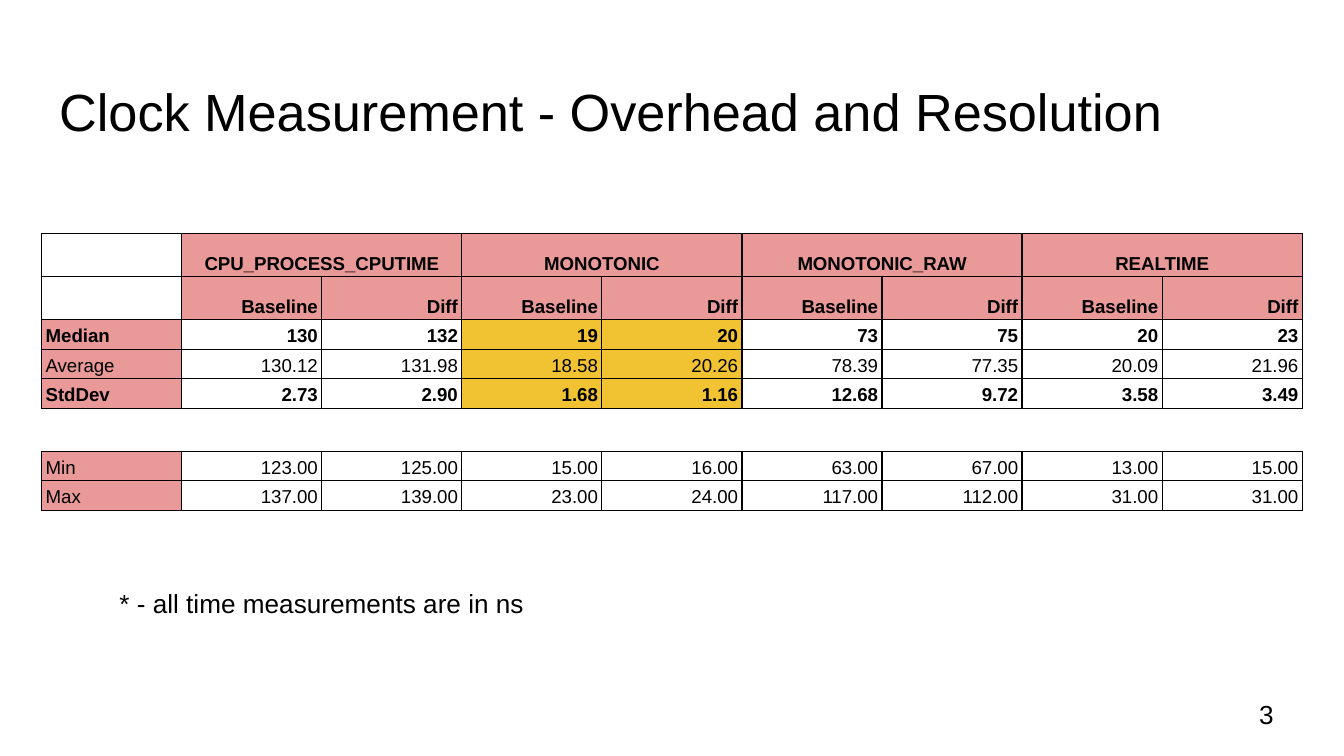
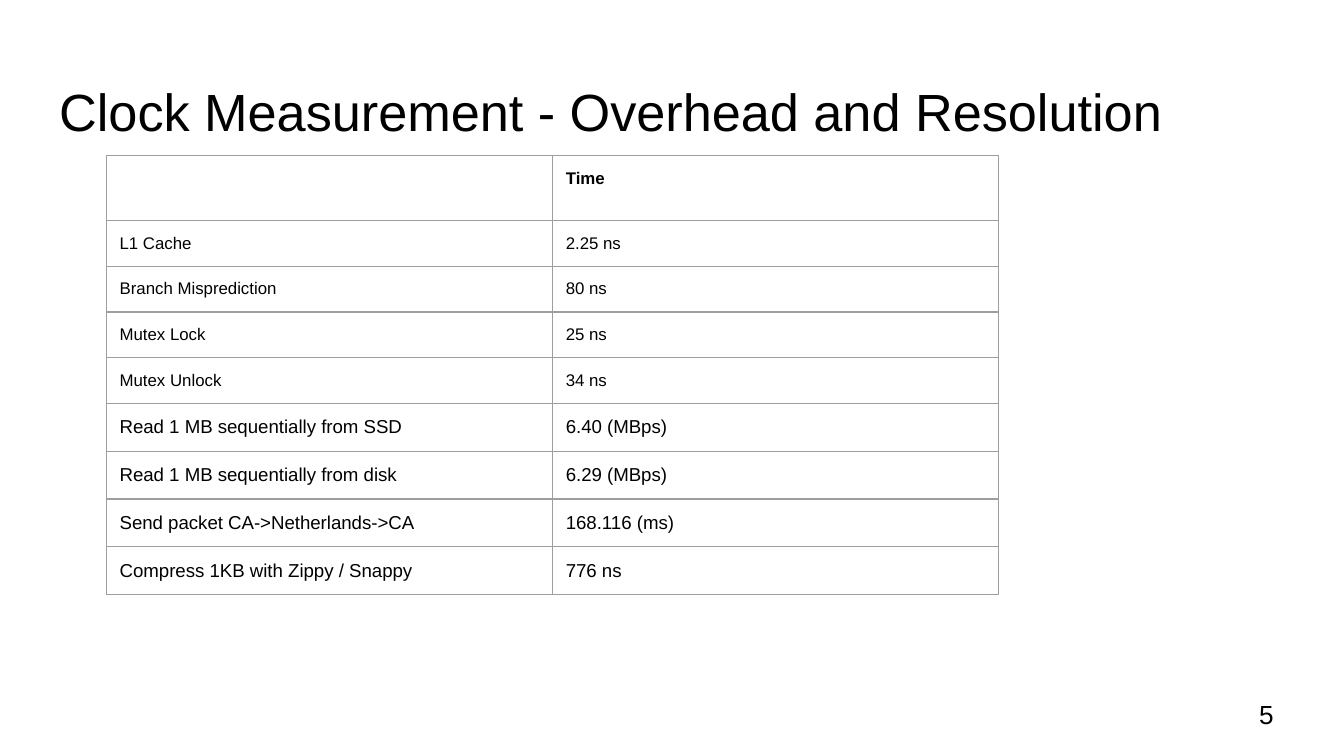
from lxml import etree
from pptx import Presentation
from pptx import util as u
from pptx.dml import color
from pptx.enum import text
from pptx.oxml import ns

INK, ROSE, GOLD, GREY, WHITE = "000000", "EA9999", "F1C232", "9E9E9E", "FFFFFF"
FONT = "Arial"
LEFT, MID, RIGHT = text.PP_ALIGN.LEFT, text.PP_ALIGN.CENTER, text.PP_ALIGN.RIGHT
TOP, CORE, LOW = (text.MSO_ANCHOR.TOP, text.MSO_ANCHOR.MIDDLE,
                  text.MSO_ANCHOR.BOTTOM)
TITLE = "Clock Measurement - Overhead and Resolution"

CLOCKS = ["CPU_PROCESS_CPUTIME", "MONOTONIC", "MONOTONIC_RAW", "REALTIME"]
STATS = [
    ["Median", "130", "132", "19", "20", "73", "75", "20", "23"],
    ["Average", "130.12", "131.98", "18.58", "20.26", "78.39", "77.35",
     "20.09", "21.96"],
    ["StdDev", "2.73", "2.90", "1.68", "1.16", "12.68", "9.72", "3.58", "3.49"],
    [""] * 9,
    ["Min", "123.00", "125.00", "15.00", "16.00", "63.00", "67.00",
     "13.00", "15.00"],
    ["Max", "137.00", "139.00", "23.00", "24.00", "117.00", "112.00",
     "31.00", "31.00"],
]
TIMES = [
    ["", "Time"],
    ["L1 Cache", "2.25 ns"],
    ["Branch Misprediction", "80 ns"],
    ["Mutex Lock", "25 ns"],
    ["Mutex Unlock", "34 ns"],
    ["Read 1 MB sequentially from SSD", "6.40 (MBps)"],
    ["Read 1 MB sequentially from disk", "6.29 (MBps)"],
    ["Send packet CA->Netherlands->CA", "168.116 (ms)"],
    ["Compress 1KB with Zippy / Snappy", "776 ns"],
]


def rgb(code):
    return color.RGBColor.from_string(code)


def write(frame, words, size=14, bold=False, align=LEFT, space=None):
    para = frame.paragraphs[0]
    if not words:
        end = etree.SubElement(para._p, ns.qn("a:endParaRPr"), sz="1800")
        etree.SubElement(end, ns.qn("a:latin"), typeface=FONT)
        return
    para.alignment = align
    para.line_spacing = space
    run = para.add_run()
    run.text = words
    font = run.font
    font.name, font.size, font.bold = FONT, u.Pt(size), bold
    font.color.rgb = rgb(INK)


def inset(item, wide=0.1, high=0.1):
    item.margin_left = item.margin_right = u.Inches(wide)
    item.margin_top = item.margin_bottom = u.Inches(high)


def edge(cell, tint, sides="LRTB"):
    props = cell._tc.get_or_add_tcPr()
    for side in "LRTB":
        line = etree.SubElement(props, ns.qn("a:ln" + side), w=str(u.Pt(0.75)))
        if side in sides:
            fill = etree.SubElement(line, ns.qn("a:solidFill"))
            etree.SubElement(fill, ns.qn("a:srgbClr"), val=tint)
        else:
            etree.SubElement(line, ns.qn("a:noFill"))


class Deck:
    def __init__(self):
        self.show = Presentation()
        self.show.slide_width = u.Inches(10)
        self.show.slide_height = u.Inches(10) * 9 // 16

    def page(self, title, number):
        self.slide = self.show.slides.add_slide(self.show.slide_layouts[5])
        back = self.slide.background.fill
        back.solid()
        back.fore_color.rgb = rgb(WHITE)
        head = self.slide.shapes.title
        head.left, head.top = u.Inches(0.34), u.Inches(0.49)
        head.width, head.height = u.Inches(9.32), u.Inches(0.63)
        self.frame(head, title, size=28)
        self.label(number, 9.27, 5.1, 0.6, 0.43, anchor=CORE)

    def frame(self, shape, words, anchor=TOP, **style):
        frame = shape.text_frame
        frame.word_wrap = True
        frame.auto_size = text.MSO_AUTO_SIZE.NONE
        frame.vertical_anchor = anchor
        inset(frame)
        write(frame, words, **style)

    def label(self, words, left, top, width, height, **style):
        box = self.slide.shapes.add_textbox(
            u.Inches(left), u.Inches(top), u.Inches(width), u.Inches(height))
        self.frame(box, words, **style)

    def grid(self, left, top, width, highs, count):
        shape = self.slide.shapes.add_table(
            len(highs), count, u.Inches(left), u.Inches(top),
            u.Inches(width), u.Inches(sum(highs)))
        table = shape.table
        table.first_row = table.horz_banding = False
        for col in table.columns:
            col.width = u.Inches(width / count)
        for row, high in zip(table.rows, highs):
            row.height = u.Inches(high)
        return table

    def cell(self, cell, words, tint, fill=None, sides="LRTB", pad=(0.1, 0.1),
             anchor=TOP, **style):
        edge(cell, tint, sides)
        if fill:
            cell.fill.solid()
            cell.fill.fore_color.rgb = rgb(fill)
        else:
            cell.fill.background()
        inset(cell, *pad)
        cell.vertical_anchor = anchor
        write(cell.text_frame, words, **style)


def shade(row, col):
    if row == 5:
        return None
    if row < 2:
        return ROSE if col else WHITE
    if col == 0:
        return ROSE
    return GOLD if col in (3, 4) and row < 5 else None


def clocks(deck):
    deck.page(TITLE, "3")
    names = [""] + [part for name in CLOCKS for part in (name, "")]
    rows = [names, [""] + ["Baseline", "Diff"] * len(CLOCKS)] + STATS
    highs = [0.22 if row[0] else 0.32 for row in rows]
    table = deck.grid(0.31, 1.74, 9.38, highs, len(names))
    for r, row in enumerate(rows):
        for c, words in enumerate(row):
            align = LEFT if c == 0 else MID if r == 0 else RIGHT
            deck.cell(table.cell(r, c), words, INK, fill=shade(r, c),
                      sides="TB" if r == 5 else "LRTB", pad=(0.03, 0.02),
                      anchor=LOW, size=10, bold=r in (0, 1, 2, 4),
                      align=align, space=1.15)
    for c in range(1, len(names), 2):
        table.cell(0, c).merge(table.cell(0, c + 1))
    deck.label("* - all time measurements are in ns", 0.79, 4.27, 4.04, 0.58)


def times(deck):
    deck.page(TITLE, "5")
    highs = [0.48] + [0.34] * 4 + [0.35] * 4
    table = deck.grid(0.79, 1.16, 6.64, highs, 2)
    for r, row in enumerate(TIMES):
        for c, words in enumerate(row):
            deck.cell(table.cell(r, c), words, GREY, size=9 if r < 5 else 10,
                      bold=r == 0)


def main():
    deck = Deck()
    clocks(deck)
    times(deck)
    deck.show.save("out.pptx")


if __name__ == "__main__":
    main()
